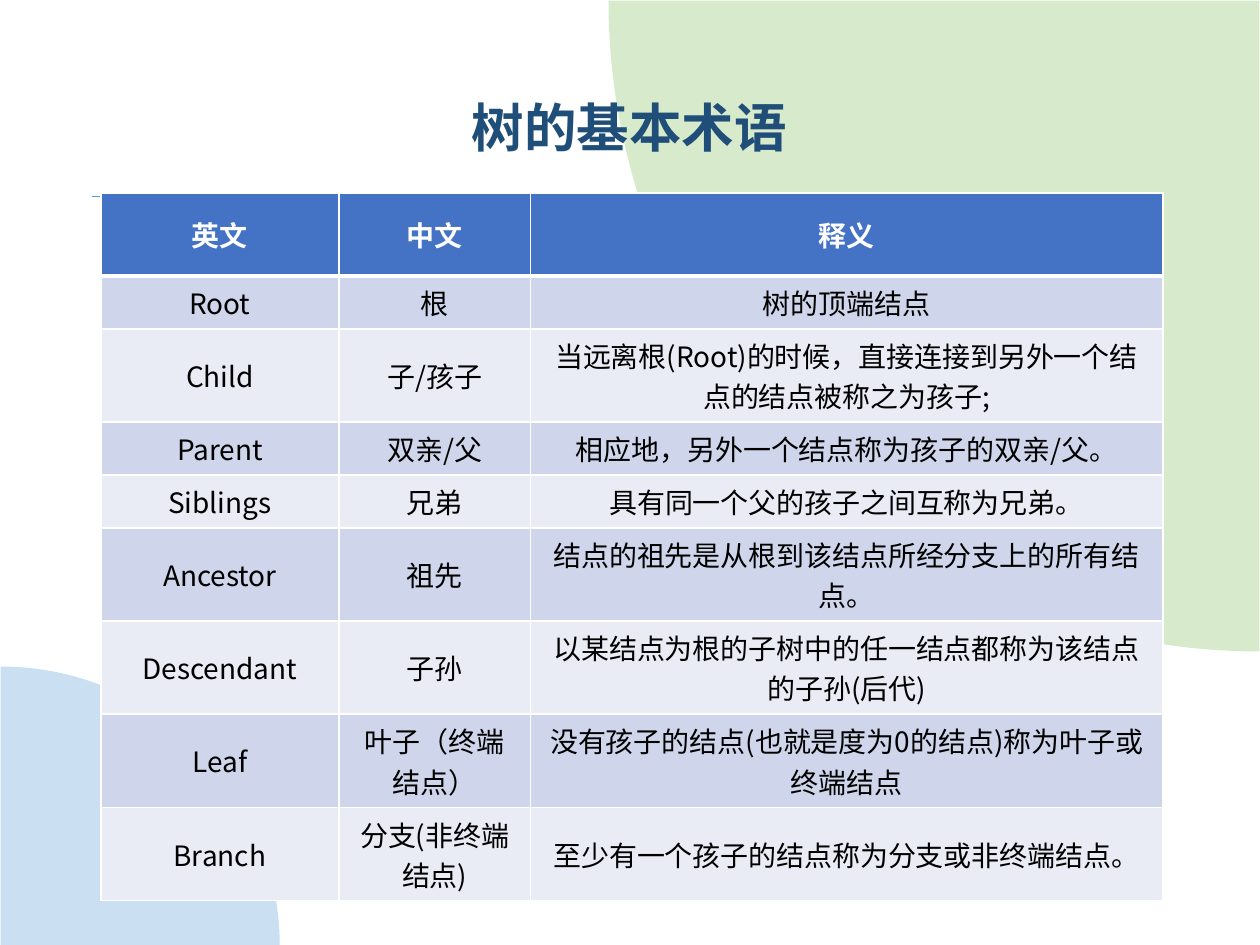
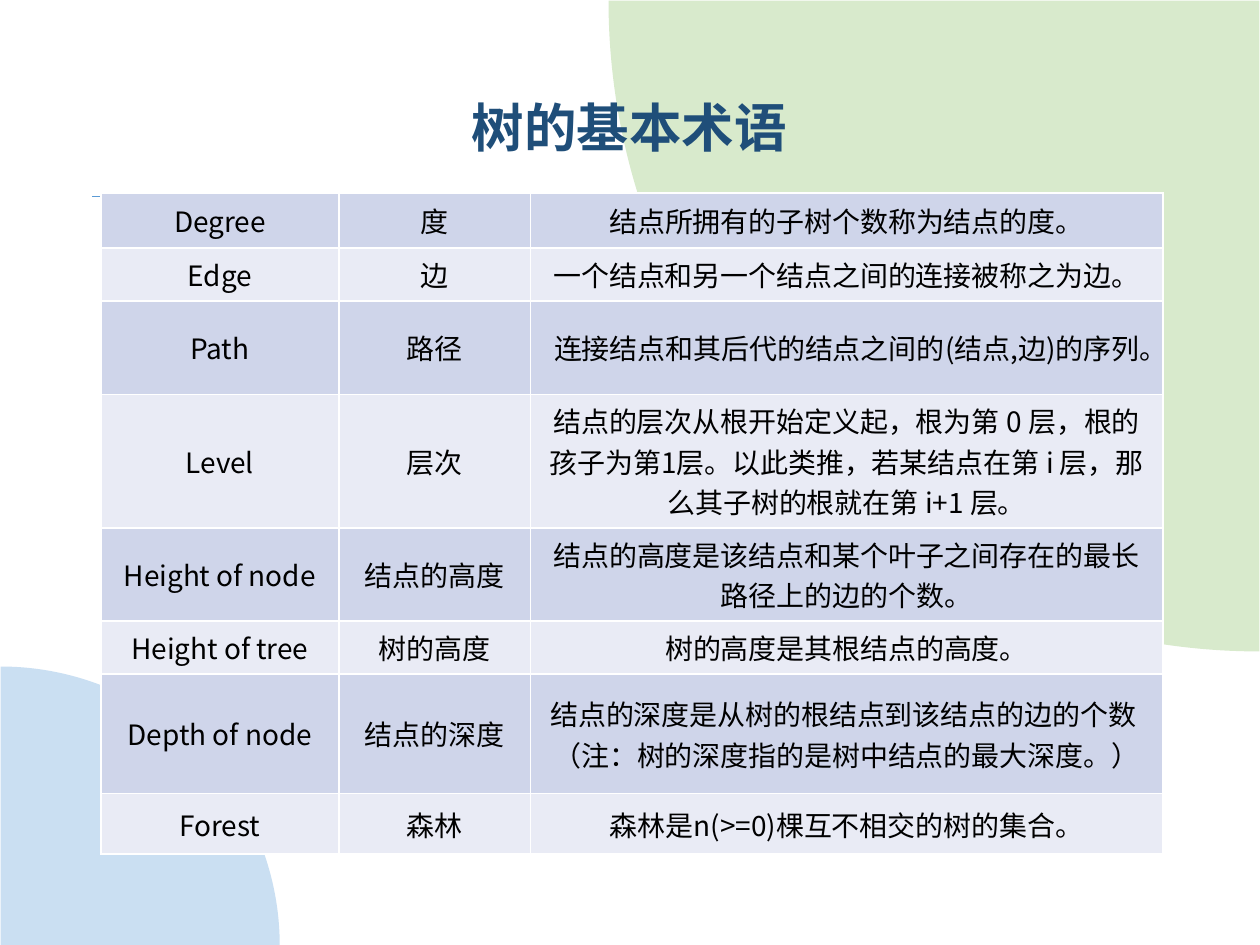
from lxml.etree import SubElement
from pptx import Presentation
from pptx.dml.color import RGBColor
from pptx.enum.lang import MSO_LANGUAGE_ID
from pptx.enum.shapes import MSO_CONNECTOR, MSO_SHAPE
from pptx.enum.text import MSO_ANCHOR, PP_ALIGN
from pptx.oxml.ns import qn
from pptx.util import Emu, Pt

EMU_PER_PX = 9144  # 100 px to the inch

FONT = "Noto Sans CJK SC"
TITLE = "树的基本术语"
GREEN, BLUE = "D8EACC", "CADFF2"
TITLE_COLOUR, RULE_COLOUR = "1F4E79", "5B9BD5"
HEADER_FILL, BAND_FILLS = "4472C4", ("CFD5EA", "E9EBF5")
WHITE, BLACK = "FFFFFF", "000000"
COLUMN_WIDTHS = (189, 152, 502)
ONE_LINE, TWO_LINES, THREE_LINES = 42, 74, 106  # row heights

HEADER = ("英文", "中文", "释义")
FAMILY_TERMS = [
    ("Root", "根", "树的顶端结点"),
    ("Child", "子/孩子", "当远离根(Root)的时候，直接连接到另外一个结点的结点被称之为孩子;"),
    ("Parent", "双亲/父", "相应地，另外一个结点称为孩子的双亲/父。"),
    ("Siblings", "兄弟", "具有同一个父的孩子之间互称为兄弟。"),
    ("Ancestor", "祖先", "结点的祖先是从根到该结点所经分支上的所有结点。"),
    ("Descendant", "子孙", "以某结点为根的子树中的任一结点都称为该结点的子孙(后代)"),
    ("Leaf", "叶子（终端结点）", "没有孩子的结点(也就是度为0的结点)称为叶子或终端结点"),
    ("Branch", "分支(非终端结点)", "至少有一个孩子的结点称为分支或非终端结点。"),
]
FAMILY_HEIGHTS = (66, ONE_LINE, TWO_LINES, ONE_LINE, ONE_LINE, *[TWO_LINES] * 4)
MEASURE_TERMS = [
    ("Degree", "度", "结点所拥有的子树个数称为结点的度。"),
    ("Edge", "边", "一个结点和另一个结点之间的连接被称之为边。"),
    ("Path", "路径", "连接结点和其后代的结点之间的(结点,边)的序列。"),
    ("Level", "层次", "结点的层次从根开始定义起，根为第 0 层，根的孩子为第1层。"
     "以此类推，若某结点在第 i 层，那么其子树的根就在第 i+1 层。"),
    ("Height of node", "结点的高度", "结点的高度是该结点和某个叶子之间存在的最长路径上的边的个数。"),
    ("Height of tree", "树的高度", "树的高度是其根结点的高度。"),
    ("Depth of node", "结点的深度",
     "结点的深度是从树的根结点到该结点的边的个数 \n（注：树的深度指的是树中结点的最大深度。）"),
    ("Forest", "森林", "森林是n(>=0)棵互不相交的树的集合。"),
]
MEASURE_HEIGHTS = (44, ONE_LINE, TWO_LINES, THREE_LINES, TWO_LINES, ONE_LINE, 95, 48)


def px(*lengths):
    return [Emu(length * EMU_PER_PX) for length in lengths]


def rgb(colour):
    return RGBColor.from_string(colour)


class Deck:
    def __init__(self):
        self.presentation = Presentation()
        self.presentation.slide_width, self.presentation.slide_height = px(1000, 750)
        self.slide = None

    def new_slide(self):
        """Start a slide with the shared corners, rule and title."""
        self.slide = self.presentation.slides.add_slide(self.presentation.slide_layouts[6])
        self.quarter_disc(483, -516, 1033, 270, GREEN)
        self.quarter_disc(-221, 529, 443, 90, BLUE)
        self.rule(923, 73, 156)
        self.title(TITLE)

    def quarter_disc(self, left, top, diameter, rotation, colour):
        disc = self.slide.shapes.add_shape(
            MSO_SHAPE.PIE, *px(left, top, diameter, diameter))
        disc.adjustments[0], disc.adjustments[1] = 108, 162
        disc.rotation = rotation
        disc.shadow.inherit = False
        disc.fill.solid()
        disc.fill.fore_color.rgb = rgb(colour)
        disc.line.fill.background()

    def rule(self, start, end, y):
        rule = self.slide.shapes.add_connector(
            MSO_CONNECTOR.STRAIGHT, *px(start, y, end, y))
        rule.line.color.rgb = rgb(RULE_COLOUR)
        rule.line.width = Pt(1)
        SubElement(rule._element.spPr, qn("a:effectLst"))

    def title(self, text):
        frame = self.slide.shapes.add_textbox(*px(68, 51, 863, 80)).text_frame
        frame.word_wrap = True
        frame.vertical_anchor = MSO_ANCHOR.BOTTOM
        frame.text = text
        frame.paragraphs[0].line_spacing = 0.9
        self.format_text(frame, 30, TITLE_COLOUR, True)

    def format_text(self, frame, size, colour, bold):
        for paragraph in frame.paragraphs:
            paragraph.alignment = PP_ALIGN.CENTER
            for run in paragraph.runs:
                font = run.font
                font.size, font.bold, font.name = Pt(size), bold, FONT
                font.language_id = MSO_LANGUAGE_ID.SIMPLIFIED_CHINESE
                font.color.rgb = rgb(colour)
                SubElement(run._r.get_or_add_rPr(), qn("a:ea"), typeface=FONT)

    def cell_borders(self, cell, top, bottom):
        """Draw white borders; top and bottom are widths in points."""
        properties = cell._tc.get_or_add_tcPr()
        for side, width in (("L", 1), ("R", 1), ("T", top), ("B", bottom)):
            line = SubElement(properties, qn(f"a:ln{side}"), w=str(Pt(width)))
            SubElement(SubElement(line, qn("a:solidFill")), qn("a:srgbClr"), val=WHITE)

    def term_table(self, terms, heights, header=None):
        rows = [header, *terms] if header else terms
        table = self.slide.shapes.add_table(
            len(rows), len(COLUMN_WIDTHS),
            *px(80, 153, sum(COLUMN_WIDTHS), sum(heights))).table
        table.first_row = header is not None
        for column, width in zip(table.columns, px(*COLUMN_WIDTHS)):
            column.width = width
        for row, height in zip(table.rows, px(*heights)):
            row.height = height
        first_term = len(rows) - len(terms)
        for index, row in enumerate(rows):
            is_header = index < first_term
            fill = HEADER_FILL if is_header else BAND_FILLS[(index - first_term) % 2]
            top = 3 if header and index == first_term else 1
            for column, text in enumerate(row):
                cell = table.cell(index, column)
                cell.text_frame.text = text
                cell.vertical_anchor = MSO_ANCHOR.MIDDLE
                self.format_text(cell.text_frame, 16, WHITE if is_header else BLACK, is_header)
                self.cell_borders(cell, top, 3 if is_header else 1)
                cell.fill.solid()
                cell.fill.fore_color.rgb = rgb(fill)


def main():
    deck = Deck()
    deck.new_slide()
    deck.term_table(FAMILY_TERMS, FAMILY_HEIGHTS, HEADER)
    deck.new_slide()
    deck.term_table(MEASURE_TERMS, MEASURE_HEIGHTS)
    deck.presentation.save("out.pptx")


if __name__ == "__main__":
    main()
